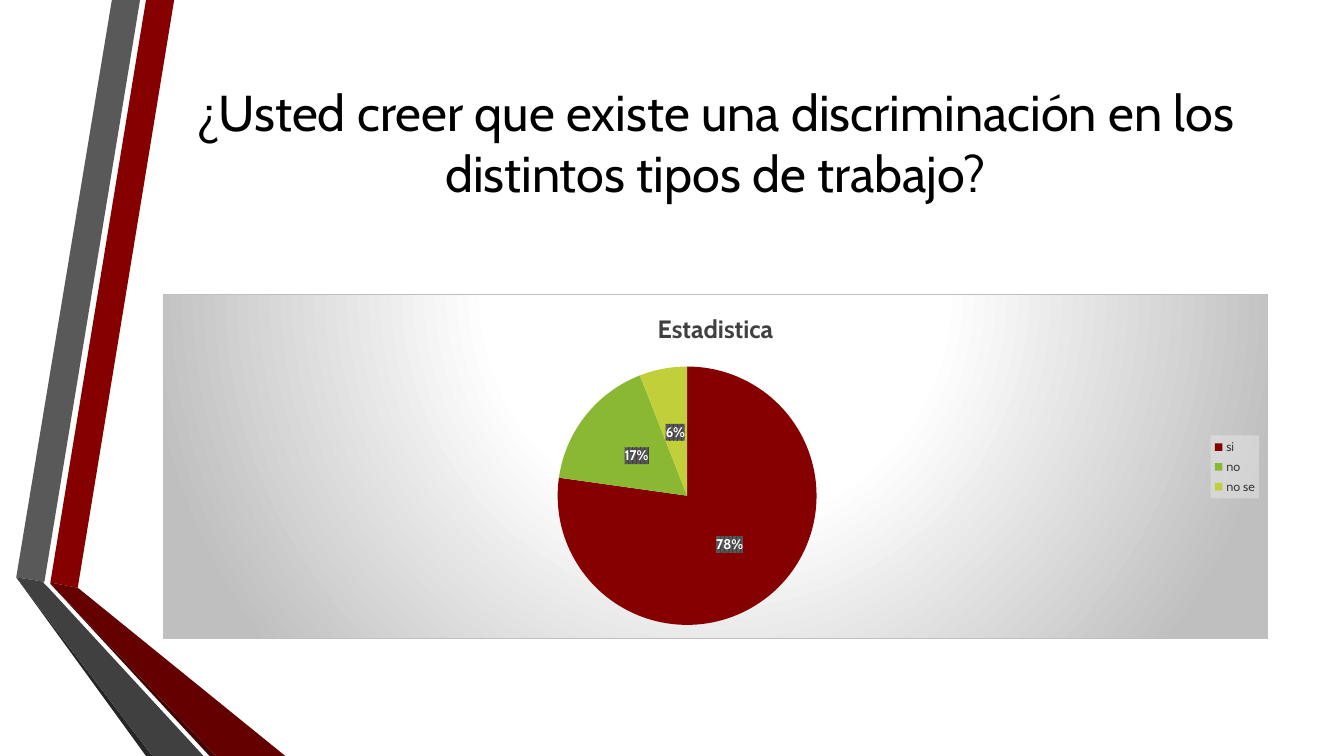
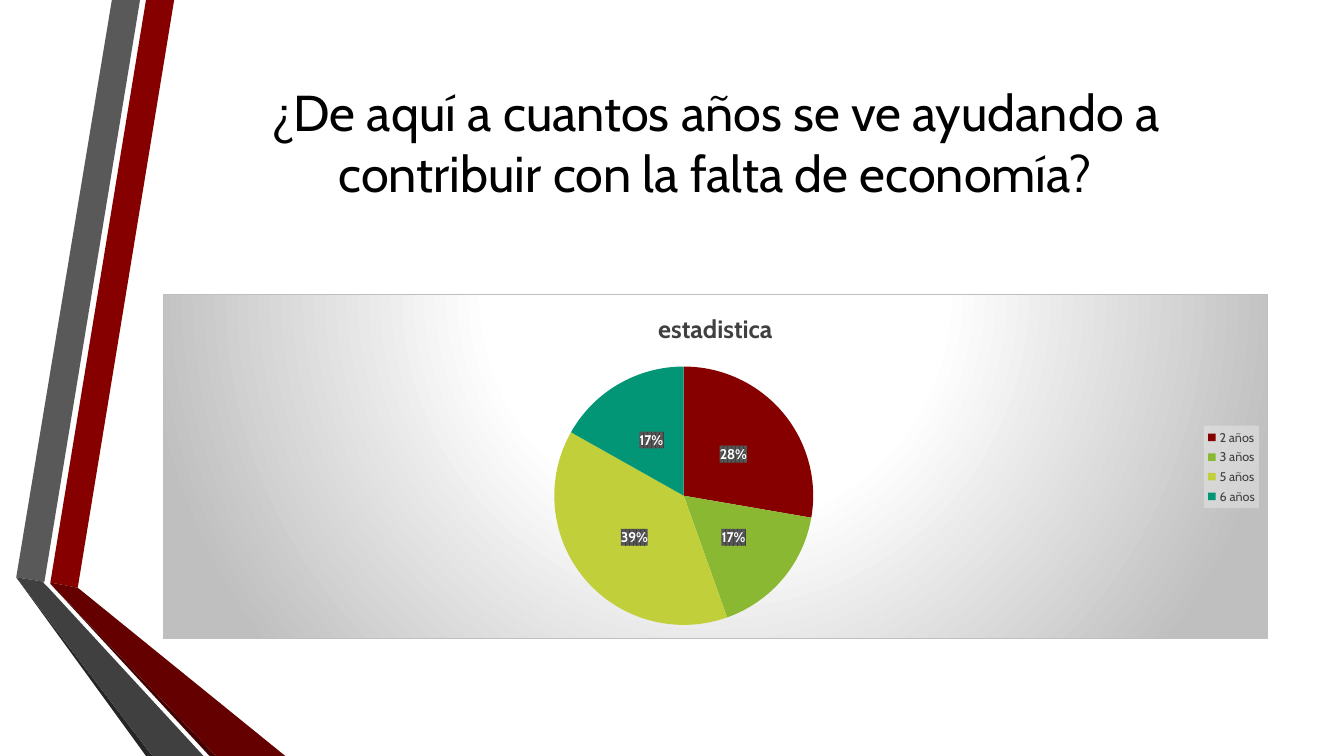
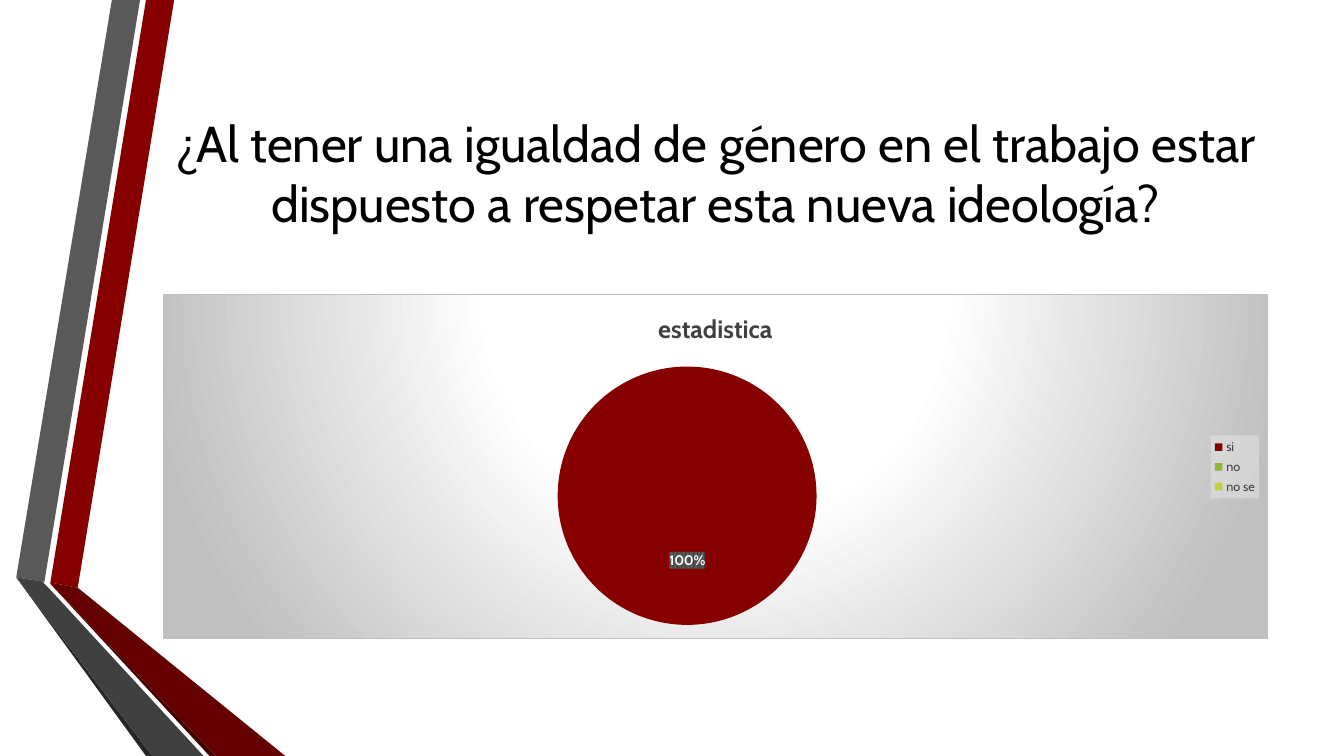
from pptx import Presentation
from pptx.chart.data import CategoryChartData
from pptx.dml.color import RGBColor
from pptx.enum.chart import XL_CHART_TYPE as ChartType
from pptx.enum.chart import XL_LABEL_POSITION as LabelPosition
from pptx.enum.chart import XL_LEGEND_POSITION as LegendPosition
from pptx.enum.text import MSO_ANCHOR, MSO_AUTO_SIZE, PP_ALIGN
from pptx.oxml import parse_xml
from pptx.oxml.ns import nsdecls, qn
from pptx.util import Cm, Pt

# Content: question, space kept free under it (cm), chart title, answers in percent
SURVEY = [
    ("¿Usted creer que existe una discriminación en los distintos tipos de trabajo?",
     1.52, "Estadistica", {"si": 78, "no": 17, "no se": 6}),
    ("¿De aquí a cuantos años se ve ayudando a contribuir con la falta de economía?",
     1.52, "estadistica", {"2 años": 28, "3 años": 17, "5 años": 39, "6 años": 17}),
    ("¿Al tener una igualdad de género en el trabajo estar dispuesto a respetar "
     "esta nueva ideología?",
     0, "estadistica", {"si": 100, "no": 0, "no se": 0}),
]

# Shared look
FONT = "Cabin"
BLACK, WHITE, DARK = "000000", "FFFFFF", "404040"
SLICES = ["860000", "8AB833", "C0CF3A", "029676"]
LEFT, WIDTH = Cm(4.11), Cm(27.84)
TITLE_TOP, TITLE_HEIGHT = Cm(1.9), Cm(4.88)
CHART_TOP, CHART_HEIGHT = Cm(7.42), Cm(8.69)

# Ribbon facets: colour and corners in cm
RIBBONS = [
    ("860000", [(1.27, 14.68), (1.96, 14.81), (4.39, 0), (3.68, 0)]),
    ("595959", [(3.53, 0), (2.82, 0), (0.41, 14.55), (1.12, 14.66)]),
    ("262626", [(0.41, 14.55), (3.68, 19.05), (3.84, 19.05)]),
    ("430000", [(1.27, 14.71), (5.28, 19.05), (5.44, 19.05)]),
    ("650000", [(1.27, 14.71), (5.44, 19.05), (7.19, 19.05), (1.96, 14.81), (1.27, 14.68)]),
    (DARK, [(5.13, 19.05), (1.22, 14.81), (1.09, 14.68), (1.12, 14.66),
            (0.41, 14.55), (3.84, 19.05)]),
]

# Fills of the chart parts
CHART_FILL = """<a:gradFill><a:gsLst>
  <a:gs pos="0"><a:srgbClr val="FFFFFF"/></a:gs>
  <a:gs pos="39000"><a:srgbClr val="FFFFFF"/></a:gs>
  <a:gs pos="100000"><a:srgbClr val="BFBFBF"/></a:gs></a:gsLst>
  <a:path path="circle"><a:fillToRect l="50000" t="-80000" r="50000" b="180000"/></a:path>
</a:gradFill><a:ln w="9525"><a:solidFill><a:srgbClr val="BFBFBF"/></a:solidFill></a:ln>"""
LEGEND_FILL = """<a:solidFill><a:srgbClr val="F2F2F2"><a:alpha val="39000"/></a:srgbClr>
</a:solidFill>"""
LABEL_FILL = """<a:pattFill prst="pct75"><a:fgClr><a:srgbClr val="404040"/></a:fgClr>
<a:bgClr><a:srgbClr val="595959"/></a:bgClr></a:pattFill>"""


def rgb(value):
    return RGBColor.from_string(value)


def style_font(font, size, color, bold=False):
    font.name, font.size, font.bold = FONT, Pt(size), bold
    font.color.rgb = rgb(color)


def paint(part, fill):
    """Fill a chart part whose font is already set."""
    properties = parse_xml(f'<c:spPr {nsdecls("c", "a")}>{fill}</c:spPr>')
    part.find(qn("c:txPr")).addprevious(properties)


def add_ribbons(slide):
    """Draw the ribbons and hand them to the layout, so every slide shows them."""
    layout_tree = slide.slide_layout.shapes.element
    for color, corners in RIBBONS:
        start, *rest = [(Cm(x), Cm(y)) for x, y in corners]
        builder = slide.shapes.build_freeform(*start)
        builder.add_line_segments(rest, close=True)
        ribbon = builder.convert_to_shape()
        ribbon.shadow.inherit = False
        ribbon.fill.solid()
        ribbon.fill.fore_color.rgb = rgb(color)
        ribbon.line.fill.background()
        layout_tree.append(ribbon.element)


def set_question(slide, question, space_below):
    title = slide.shapes.title
    title.left, title.top, title.width, title.height = LEFT, TITLE_TOP, WIDTH, TITLE_HEIGHT
    frame = title.text_frame
    frame.text = question
    frame.word_wrap = True
    frame.auto_size = MSO_AUTO_SIZE.NONE
    frame.vertical_anchor = MSO_ANCHOR.MIDDLE
    frame.margin_bottom = Cm(0.13 + space_below)
    paragraph = frame.paragraphs[0]
    paragraph.alignment = PP_ALIGN.CENTER
    style_font(paragraph.font, 36, BLACK)


def add_pie(slide, heading, answers):
    data = CategoryChartData()
    data.categories = list(answers)
    data.add_series(heading, list(answers.values()))
    chart = slide.shapes.add_chart(
        ChartType.PIE, LEFT, CHART_TOP, WIDTH, CHART_HEIGHT, data).chart
    style_font(chart.font, 10, BLACK)
    paint(chart.element, CHART_FILL)

    # Heading and legend
    chart.has_title = True
    chart.chart_title.text_frame.text = heading
    style_font(chart.chart_title.text_frame.paragraphs[0].font, 18, DARK, bold=True)
    chart.has_legend = True
    chart.legend.position = LegendPosition.RIGHT
    chart.legend.include_in_layout = False
    style_font(chart.legend.font, 9, DARK)
    paint(next(chart.element.iter(qn("c:legend"))), LEGEND_FILL)

    # Slices
    plot = chart.plots[0]
    plot.vary_by_categories = True
    pie = plot.series[0]
    for index, color in enumerate(SLICES[:len(answers)]):
        slice_format = pie.points[index].format
        slice_format.fill.solid()
        slice_format.fill.fore_color.rgb = rgb(color)
        slice_format.line.fill.background()

    # Labels, none on empty slices
    labels = pie.data_labels
    labels.number_format = '0"%"'
    labels.number_format_is_linked = False
    labels.show_value = True
    labels.position = LabelPosition.CENTER
    style_font(labels.font, 10, WHITE, bold=True)
    labels_part = next(chart.element.iter(qn("c:dLbls")))
    paint(labels_part, LABEL_FILL)
    empty = [index for index, share in enumerate(answers.values()) if share == 0]
    for place, index in enumerate(empty):
        labels_part.insert(place, parse_xml(
            f'<c:dLbl {nsdecls("c")}><c:idx val="{index}"/><c:delete val="1"/></c:dLbl>'))


# Build the slides
deck = Presentation()
deck.slide_width, deck.slide_height = Cm(33.87), Cm(19.05)
title_only = deck.slide_layouts[5]
for number, (question, space_below, heading, answers) in enumerate(SURVEY):
    slide = deck.slides.add_slide(title_only)
    if number == 0:
        add_ribbons(slide)
    set_question(slide, question, space_below)
    add_pie(slide, heading, answers)

deck.save("out.pptx")
